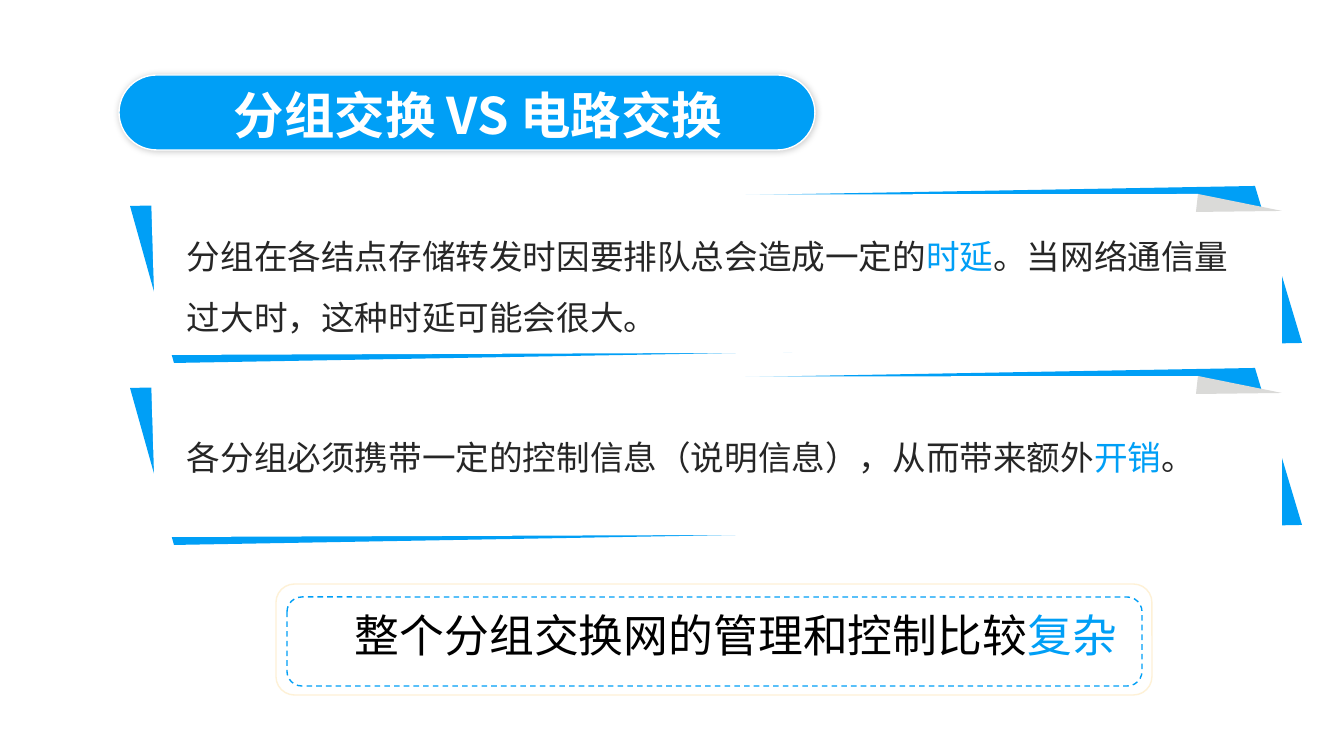
import pptx
import pptx.util
import pptx.dml.color
import pptx.enum.dml
import pptx.enum.shapes
import pptx.enum.text
import pptx.oxml
import pptx.oxml.ns
from dataclasses import dataclass

PX = 914400 / 100.8
PANEL_PITCH = 182
RIBBON = [(130, 206), (174, 363), (1302, 343), (1255, 186)]
PAPER = [(151, 195), (156, 355), (1282, 351), (1282, 211), (1198, 211), (1198, 194)]
FOLD = [(1198, 194), (1282, 211), (1196, 212)]


@dataclass(frozen=True)
class Theme:
    accent: str = "009FF6"
    white: str = "FFFFFF"
    fold: str = "DADAD8"
    body: str = "262626"
    black: str = "000000"
    cream: str = "FEF1D6"
    title_size: int = 36
    body_size: int = 24
    summary_size: int = 32
    title_font: str = "Noto Sans CJK JP"
    body_font: str = "Times New Roman"
    east_asian_font: str = "Noto Sans CJK SC"


THEME = Theme()


def px(length):
    return pptx.util.Emu(round(length * PX))


def rgb(colour):
    return pptx.dml.color.RGBColor.from_string(colour)


def add_pill(slide, box, fill, line, roundness=0.1667, dashed=False):
    pill = slide.shapes.add_shape(
        pptx.enum.shapes.MSO_SHAPE.ROUNDED_RECTANGLE, *map(px, box))
    pill.adjustments[0] = roundness
    pill.shadow.inherit = False
    if fill:
        pill.fill.solid()
        pill.fill.fore_color.rgb = rgb(fill)
    else:
        pill.fill.background()
    pill.line.color.rgb = rgb(line)
    pill.line.width = pptx.util.Pt(1)
    if dashed:
        pill.line.dash_style = pptx.enum.dml.MSO_LINE.DASH
    return pill


def add_glow_shadow(pill):
    effects = pill._element.spPr.find(pptx.oxml.ns.qn("a:effectLst"))
    effects.append(pptx.oxml.parse_xml(
        f'<a:outerShdw {pptx.oxml.ns.nsdecls("a")} blurRad="63500" dist="0" dir="0" '
        'algn="ctr" rotWithShape="0"><a:srgbClr val="000000">'
        '<a:alpha val="20000"/></a:srgbClr></a:outerShdw>'))


def add_polygon(slide, points, colour, drop):
    corners = [(px(x), px(y + drop)) for x, y in points]
    builder = slide.shapes.build_freeform(*corners[0], scale=1.0)
    builder.add_line_segments(corners[1:], close=True)
    polygon = builder.convert_to_shape()
    polygon.shadow.inherit = False
    polygon.fill.solid()
    polygon.fill.fore_color.rgb = rgb(colour)
    polygon.line.fill.background()


def add_text(slide, box, pieces, size, font, bold=False, spacing=None):
    frame = slide.shapes.add_textbox(*map(px, box)).text_frame
    frame.word_wrap = True
    frame.auto_size = pptx.enum.text.MSO_AUTO_SIZE.SHAPE_TO_FIT_TEXT
    paragraph = frame.paragraphs[0]
    paragraph.line_spacing = spacing
    paragraph.font.size = pptx.util.Pt(size)
    paragraph.font.bold = bold
    paragraph.font.name = font
    latin = paragraph.font._element.find(pptx.oxml.ns.qn("a:latin"))
    latin.addnext(pptx.oxml.parse_xml(
        f'<a:ea {pptx.oxml.ns.nsdecls("a")} typeface="{THEME.east_asian_font}"/>'))
    for words, colour in pieces:
        run = paragraph.add_run()
        run.text = words
        run.font.color.rgb = rgb(colour)


def add_title(slide):
    banner = add_pill(slide, (119, 75, 696, 75), THEME.accent, THEME.white, 0.5)
    add_glow_shadow(banner)
    add_text(slide, (224, 79, 592, 72), [("分组交换 VS 电路交换", THEME.white)],
             THEME.title_size, THEME.title_font, bold=True)


def add_panel(slide, index, text_box, pieces, spacing=None):
    for points, colour in ((RIBBON, THEME.accent), (PAPER, THEME.white), (FOLD, THEME.fold)):
        add_polygon(slide, points, colour, index * PANEL_PITCH)
    add_text(slide, text_box, pieces, THEME.body_size, THEME.body_font, spacing=spacing)


def add_summary(slide):
    add_pill(slide, (276, 584, 876, 111), THEME.white, THEME.cream)
    add_text(slide, (345, 603, 817, 100),
             [("整个分组交换网的管理和控制比较", THEME.black), ("复杂", THEME.accent)],
             THEME.summary_size, THEME.east_asian_font)
    add_pill(slide, (287, 597, 855, 89), None, THEME.accent, dashed=True)


def main():
    deck = pptx.Presentation()
    deck.slide_width, deck.slide_height = px(1344), px(756)
    slide = deck.slides.add_slide(deck.slide_layouts[6])
    add_title(slide)
    add_panel(slide, 0, (177, 211, 1084, 125),
              [("分组在各结点存储转发时因要排队总会造成一定的", THEME.body),
               ("时延", THEME.accent),
               ("。当网络通信量过大时，这种时延可能会很大。", THEME.body)], spacing=1.5)
    add_panel(slide, 1, (177, 432, 1040, 50),
              [("各分组必须携带一定的控制信息（说明信息），从而带来额外", THEME.body),
               ("开销", THEME.accent),
               ("。", THEME.body)])
    add_summary(slide)
    deck.save("out.pptx")


if __name__ == "__main__":
    main()
